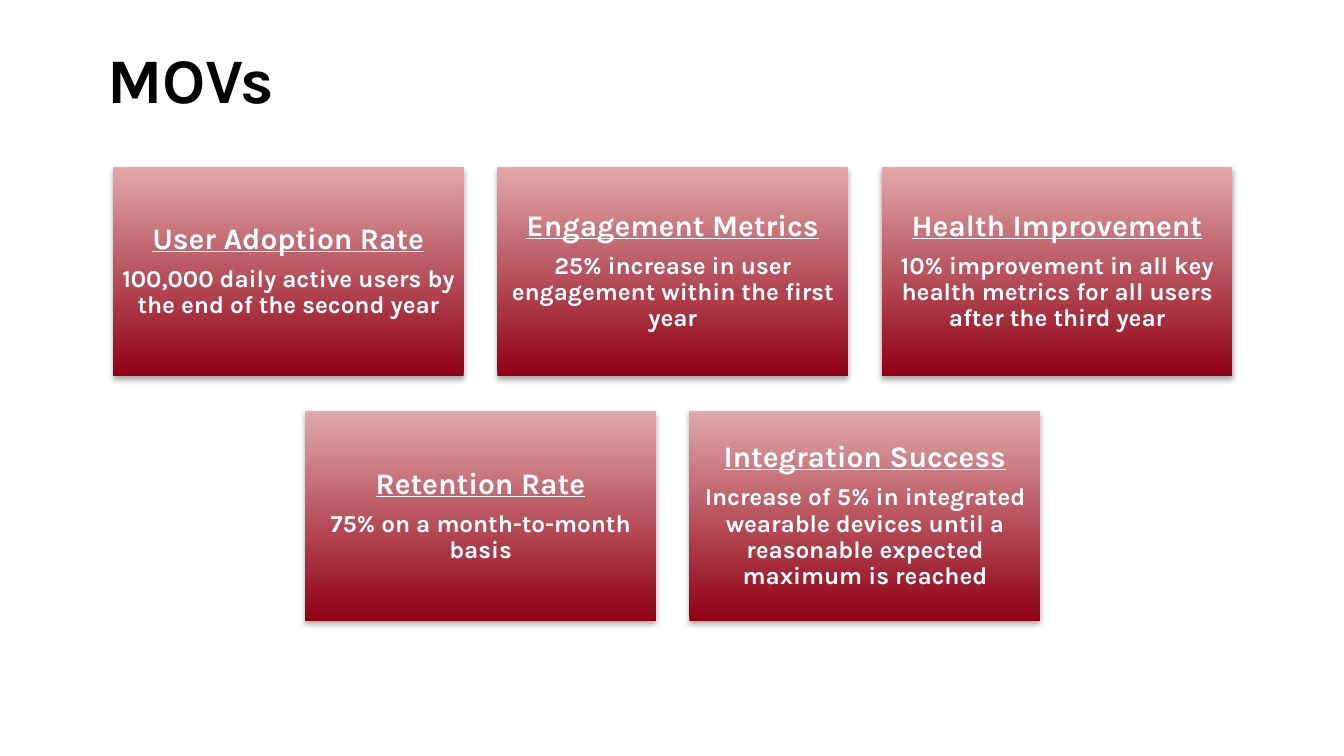
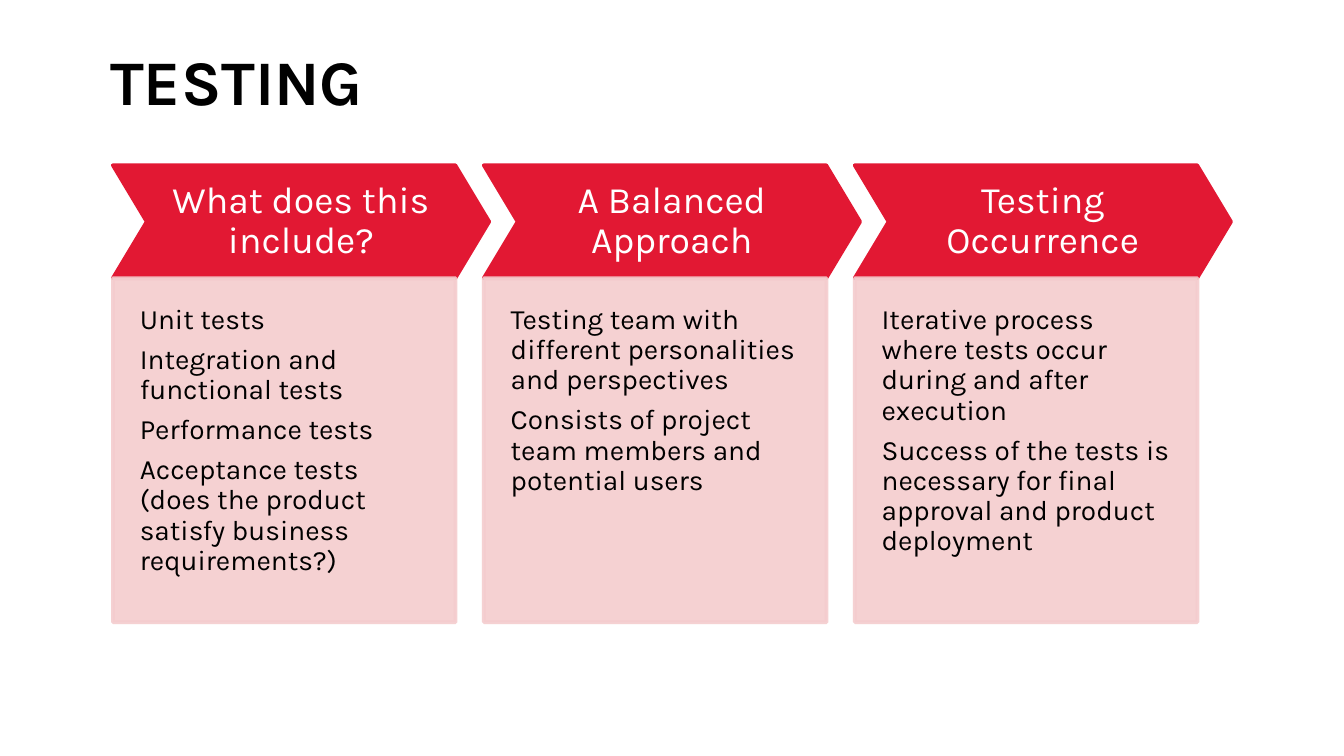
from lxml import etree
from pptx import Presentation
from pptx.dml.color import RGBColor
from pptx.enum.shapes import MSO_SHAPE
from pptx.enum.text import MSO_ANCHOR, MSO_AUTO_SIZE, PP_ALIGN
from pptx.oxml.ns import qn
from pptx.util import Inches, Pt

RECTANGLE, CHEVRON = MSO_SHAPE.RECTANGLE, MSO_SHAPE.CHEVRON
TOP, MIDDLE = MSO_ANCHOR.TOP, MSO_ANCHOR.MIDDLE
LEFT, CENTER = PP_ALIGN.LEFT, PP_ALIGN.CENTER
NO_AUTOFIT = MSO_AUTO_SIZE.NONE

BLACK = RGBColor(0x00, 0x00, 0x00)
WHITE = RGBColor(0xFF, 0xFF, 0xFF)
DARK_RED = RGBColor(0x90, 0x00, 0x13)
ROSE = RGBColor(0xE2, 0xA8, 0xAA)
RED = RGBColor(0xE2, 0x18, 0x33)
PALE_PINK = RGBColor(0xF4, 0xCC, 0xCE)

FONT = "Karla"
SLIDE_WIDTH = Inches(10)
SLIDE_HEIGHT = SLIDE_WIDTH * 9 // 16
TITLE_ONLY = 5
TITLE_FONT = {"size": Pt(34), "bold": True, "color": BLACK}
CARD_HEADING = {"size": Pt(16), "bold": True, "underline": True, "color": WHITE}
CARD_TEXT = {"size": Pt(13), "bold": True, "color": WHITE}
STEP_HEADING = {"size": Pt(20), "color": WHITE}
STEP_TEXT = {"size": Pt(15), "color": BLACK}

CARD_SIZE, CARD_PITCH = (2.61, 1.56), (2.86, 1.82)
CARD_LEFT, CARD_TOP = 0.84, 1.24
STEP_LEFT, STEP_TOP, STEP_PITCH = 0.84, 1.23, 2.76
CHEVRON_SIZE, PANEL_SIZE = (2.8, 0.84), (2.55, 2.56)

# Each row of cards: its first column, then headings with their targets.
CARD_ROWS = [
    (0, [
        ("User Adoption Rate",
         "100,000 daily active users by the end of the second year"),
        ("Engagement Metrics",
         "25% increase in user engagement within the first year"),
        ("Health Improvement",
         "10% improvement in all key health metrics for all users after the third year"),
    ]),
    (0.5, [
        ("Retention Rate", "75% on a month-to-month basis"),
        ("Integration Success",
         "Increase of 5% in integrated wearable devices until a reasonable "
         "expected maximum is reached"),
    ]),
]

TESTING_STEPS = [
    ("What does this include?", [
        "Unit tests",
        "Integration and functional tests",
        "Performance tests",
        "Acceptance tests (does the product satisfy business requirements?)",
    ]),
    ("A Balanced Approach", [
        "Testing team with different personalities and perspectives",
        "Consists of project team members and potential users",
    ]),
    ("Testing Occurrence", [
        "Iterative process where tests occur during and after execution",
        "Success of the tests is necessary for final approval and product deployment",
    ]),
]


def set_frame(frame, margins, anchor):
    """Set the frame's margins (left, top, right, bottom) and anchor."""
    values = dict(zip(("margin_left", "margin_top", "margin_right", "margin_bottom"),
                      map(Inches, margins)))
    values.update(word_wrap=True, auto_size=NO_AUTOFIT, vertical_anchor=anchor)
    for name, value in values.items():
        setattr(frame, name, value)


def add_run(paragraph, text, font_values):
    run = paragraph.add_run()
    run.text = text
    run.font.name = FONT
    for name, value in font_values.items():
        if name == "color":
            run.font.color.rgb = value
        else:
            setattr(run.font, name, value)


def write_paragraphs(frame, lines, alignment):
    """Write (text, font values) pairs as paragraphs spaced by their size."""
    for index, (text, font_values) in enumerate(lines):
        paragraph = frame.add_paragraph() if index else frame.paragraphs[0]
        paragraph.alignment = alignment
        paragraph.line_spacing = 0.9
        paragraph.space_after = Pt(font_values["size"].pt * 0.35)
        add_run(paragraph, text, font_values)


def add_titled_slide(presentation, text, box):
    slide = presentation.slides.add_slide(presentation.slide_layouts[TITLE_ONLY])
    title = slide.shapes.title
    title.left, title.top, title.width, title.height = map(Inches, box)
    set_frame(title.text_frame, (0, 0, 0, 0), MIDDLE)
    paragraph = title.text_frame.paragraphs[0]
    paragraph.alignment = LEFT
    add_run(paragraph, text, TITLE_FONT)
    return slide


def add_block(slide, kind, left, top, size):
    shape = slide.shapes.add_shape(kind, *map(Inches, (left, top, *size)))
    shape.shadow.inherit = False
    return shape


def paint(shape, color):
    """Give fill and outline the same colour."""
    shape.fill.solid()
    shape.fill.fore_color.rgb = color
    shape.line.color.rgb = color
    shape.line.width = Pt(2)


def set_opacity(shape, percent):
    for color in shape.element.spPr.iter(qn("a:srgbClr")):
        etree.SubElement(color, qn("a:alpha"), val=str(percent * 1000))


def add_soft_shadow(shape):
    effects = shape.element.spPr.find(qn("a:effectLst"))
    shadow = etree.SubElement(effects, qn("a:outerShdw"), blurRad=str(Pt(3.1)),
                              dist=str(Pt(1.8)), dir="5400000", rotWithShape="0")
    color = etree.SubElement(shadow, qn("a:srgbClr"), val=str(BLACK))
    etree.SubElement(color, qn("a:alpha"), val="35000")


def add_card(slide, column, row, heading, target):
    column_pitch, row_pitch = CARD_PITCH
    card = add_block(slide, RECTANGLE, CARD_LEFT + column * column_pitch,
                     CARD_TOP + row * row_pitch, CARD_SIZE)
    card.fill.gradient()
    card.fill.gradient_angle = 90
    for stop, color in zip(card.fill.gradient_stops, (DARK_RED, ROSE)):
        stop.color.rgb = color
    card.line.fill.background()
    add_soft_shadow(card)
    set_frame(card.text_frame, (0.06, 0.07, 0.06, 0.07), MIDDLE)
    write_paragraphs(card.text_frame,
                     [(heading, CARD_HEADING), (target, CARD_TEXT)], CENTER)


def add_step(slide, column, heading, points):
    """Add a chevron heading with its panel of points below."""
    left = STEP_LEFT + column * STEP_PITCH
    chevron = add_block(slide, CHEVRON, left, STEP_TOP, CHEVRON_SIZE)
    chevron.adjustments[0] = 0.3
    paint(chevron, RED)
    set_frame(chevron.text_frame, (0.1,) * 4, MIDDLE)
    write_paragraphs(chevron.text_frame, [(heading, STEP_HEADING)], CENTER)

    panel = add_block(slide, RECTANGLE, left, STEP_TOP + CHEVRON_SIZE[1], PANEL_SIZE)
    paint(panel, PALE_PINK)
    set_opacity(panel, 90)
    set_frame(panel.text_frame, (0.2, 0.2, 0.2, 0.4), TOP)
    write_paragraphs(panel.text_frame, [(point, STEP_TEXT) for point in points], LEFT)


def main():
    presentation = Presentation()
    presentation.slide_width = SLIDE_WIDTH
    presentation.slide_height = SLIDE_HEIGHT

    slide = add_titled_slide(presentation, "MOVs", (0.8, 0.11, 8.34, 0.94))
    for row, (first_column, cards) in enumerate(CARD_ROWS):
        for index, (heading, target) in enumerate(cards):
            add_card(slide, first_column + index, row, heading, target)

    slide = add_titled_slide(presentation, "TESTING", (0.82, 0.23, 8.31, 0.74))
    for column, (heading, points) in enumerate(TESTING_STEPS):
        add_step(slide, column, heading, points)

    presentation.save("out.pptx")


if __name__ == "__main__":
    main()
